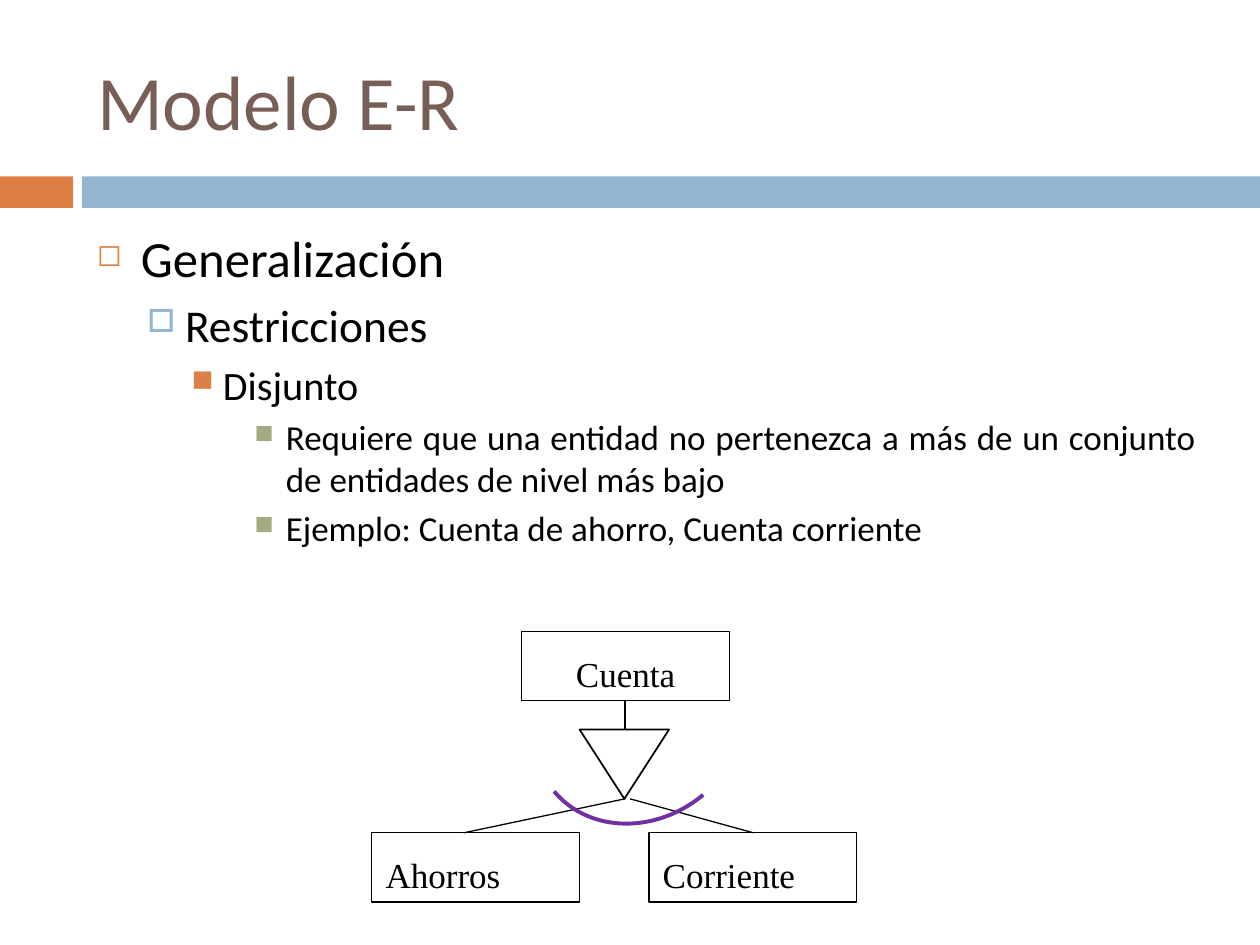
from pptx import Presentation
from pptx.dml.color import RGBColor
from pptx.enum.shapes import MSO_CONNECTOR, MSO_SHAPE
from pptx.enum.text import MSO_ANCHOR, MSO_AUTO_SIZE, PP_ALIGN
from pptx.oxml.ns import qn
from pptx.util import Inches, Pt
from lxml.etree import SubElement

COLORS = {"orange": "DD8047", "blue": "94B6D2", "green": "A5AB81",
          "title": "775F55", "ink": "000000", "purple": "7030A0"}

# level: bullet, colour, bullet size %, left margin, hanging, text size, space before
LEVELS = [("◻", "orange", 60, 0.35, 0.35, 29, 0),
          ("□", "blue", 70, 0.7, 0.3, 26, 5.5),
          ("■", "orange", 75, 1, 0.25, 23, 5),
          ("■", "green", 75, 1.5, 0.25, 20, 4)]

OUTLINE = [
    (0, "Generalización"),
    (1, "Restricciones"),
    (2, "Disjunto"),
    (3, "Requiere que una entidad no pertenezca a más de un conjunto "
        "de entidades de nivel más bajo"),
    (3, "Ejemplo: Cuenta de ahorro, Cuenta corriente"),
]


def rgb(name):
    return RGBColor.from_string(COLORS[name])


def set_font(p, name, size, color):
    for r in p.runs:
        r.font.name = name
        r.font.size = Pt(size)
        r.font.color.rgb = rgb(color)


def add_shape(s, kind, x, y, w, h, fill=None, line=None, width=0.75):
    sp = s.shapes.add_shape(kind, Inches(x), Inches(y), Inches(w), Inches(h))
    sp.shadow.inherit = False
    if fill:
        sp.fill.solid()
        sp.fill.fore_color.rgb = rgb(fill)
    else:
        sp.fill.background()
    if line:
        sp.line.color.rgb = rgb(line)
        sp.line.width = Pt(width)
    else:
        sp.line.fill.background()
    return sp


def add_line(s, x1, y1, x2, y2):
    c = s.shapes.add_connector(MSO_CONNECTOR.STRAIGHT, Inches(x1), Inches(y1),
                               Inches(x2), Inches(y2))
    c.line.color.rgb = rgb("ink")
    c.line.width = Pt(0.75)
    SubElement(c._element.spPr, qn("a:effectLst"))


def add_header(s, x, y, w, h):
    """Title above a two-colour band that crosses the slide."""
    band_y, band_h, gap = y + 1.15, 0.25, 0.07
    orange_w = x - gap - 0.02
    blue_x = orange_w + gap
    add_shape(s, MSO_SHAPE.RECTANGLE, 0, band_y, orange_w, band_h, "orange")
    add_shape(s, MSO_SHAPE.RECTANGLE, blue_x, band_y, 10 - blue_x, band_h, "blue")
    title = s.shapes.title
    title.left, title.top = Inches(x), Inches(y)
    title.width, title.height = Inches(w), Inches(h)
    tf = title.text_frame
    tf.text = "Modelo E-R"
    tf.auto_size = MSO_AUTO_SIZE.NONE
    tf.vertical_anchor = MSO_ANCHOR.MIDDLE
    tf.paragraphs[0].alignment = PP_ALIGN.LEFT
    set_font(tf.paragraphs[0], "Calibri", 44, "title")


def set_bullet(p, char, color, percent, margin, hanging):
    pPr = p._p.get_or_add_pPr()
    pPr.set("marL", str(Inches(margin)))
    pPr.set("indent", str(-Inches(hanging)))
    SubElement(SubElement(pPr, qn("a:buClr")), qn("a:srgbClr"), val=COLORS[color])
    SubElement(pPr, qn("a:buSzPct"), val=str(percent * 1000))
    SubElement(pPr, qn("a:buChar"), char=char)


def add_outline(s, x, y, w, h):
    tf = s.shapes.add_textbox(Inches(x), Inches(y), Inches(w), Inches(h)).text_frame
    tf.word_wrap = True
    for i, (level, text) in enumerate(OUTLINE):
        p = tf.add_paragraph() if i else tf.paragraphs[0]
        *bullet, size, before = LEVELS[level]
        p.text = text
        p.level = level
        p.alignment = PP_ALIGN.JUSTIFY
        set_bullet(p, *bullet)
        p.space_before = Pt(before)
        set_font(p, "Calibri", size, "ink")


def add_entity(s, x, y, w, h, text, align=PP_ALIGN.LEFT):
    sp = add_shape(s, MSO_SHAPE.FLOWCHART_PROCESS, x, y, w, h, line="ink")
    tf = sp.text_frame
    tf.text = text
    tf.vertical_anchor = MSO_ANCHOR.BOTTOM
    tf.margin_left = tf.margin_right = Inches(0.11)
    tf.margin_top = tf.margin_bottom = Inches(0.05)
    tf.paragraphs[0].alignment = align
    set_font(tf.paragraphs[0], "Times New Roman", 20, "ink")


def add_generalization(s, x, y):
    """Parent entity, ISA triangle, two children and the disjointness arc."""
    w, h = 1.65, 0.55
    child_y, axis = y + 1.6, x + 2.01
    isa_y = y + 0.78
    tip_y = isa_y + h
    add_entity(s, x + 1.19, y, w, h, "Cuenta", PP_ALIGN.CENTER)
    add_entity(s, x, child_y, w, h, "Ahorros")
    add_entity(s, x + 2.2, child_y, w, h, "Corriente")
    add_line(s, axis, tip_y, x + 0.73, child_y)
    add_line(s, axis + 0.04, tip_y, x + 3.03, child_y)
    isa = add_shape(s, MSO_SHAPE.ISOSCELES_TRIANGLE, axis - 0.36, isa_y, 0.71, h,
                    line="ink", width=1)
    isa.rotation = 180
    add_line(s, axis, y + h, axis, isa_y)
    arc = add_shape(s, MSO_SHAPE.ARC, x + 1.24, y - 0.08, 1.78, 1.56,
                    line="purple", width=2.25)
    arc.rotation = 140.1


def main():
    prs = Presentation()
    prs.slide_width, prs.slide_height = Inches(10), Inches(7.5)
    s = prs.slides.add_slide(prs.slide_layouts[5])
    add_header(s, 0.67, 0.25, 8.92, 1.08)
    add_outline(s, 0.67, 1.75, 8.92, 2.75)
    add_generalization(s, 2.95, 5.01)
    prs.save("out.pptx")


if __name__ == "__main__":
    main()
